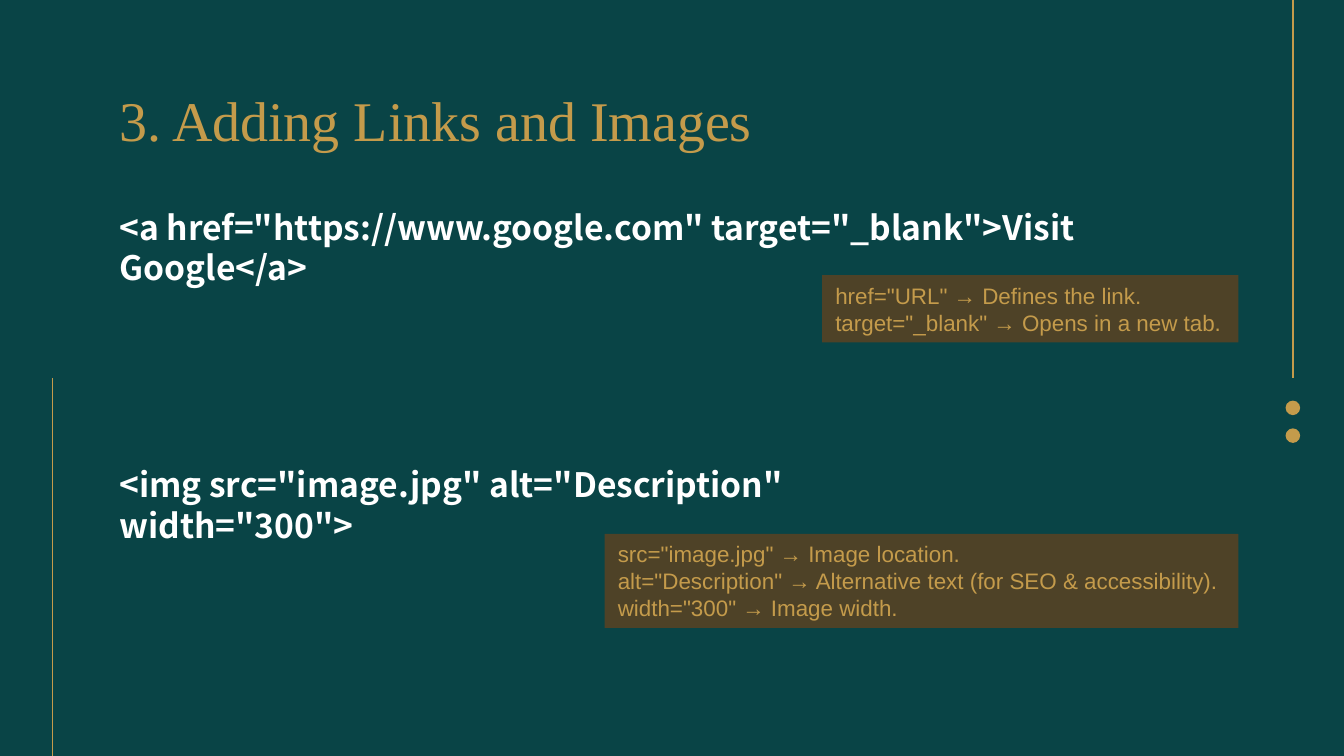
"""Build the "Adding Links and Images" slide."""
from lxml.etree import SubElement
from pptx import Presentation
from pptx.dml.color import RGBColor
from pptx.enum.shapes import MSO_CONNECTOR as Conn, MSO_SHAPE as Shape
from pptx.enum.text import MSO_ANCHOR as Anchor, PP_ALIGN as Align
from pptx.oxml.ns import qn
from pptx.util import Pt

COLORS = {"bg": "094446", "gold": "C49B4B", "brown": "4E4227", "white": "FFFFFF"}
TITLE = "3. Adding Links and Images"
EXAMPLES = [
    {
        "code": '<a href="https://www.google.com" target="_blank">Visit Google</a>',
        "code_top": 107.3, "code_width": 613.5,
        "notes": ['href="URL" → Defines the link.',
                  'target="_blank" → Opens in a new tab.'],
        "note_top": 147.5, "note_width": 223,
    },
    {
        "code": '<img src="image.jpg" alt="Description" width="300">',
        "code_top": 245.2, "code_width": 484.5,
        "notes": ['src="image.jpg" → Image location.',
                  'alt="Description" → Alternative text (for SEO & accessibility).',
                  'width="300" → Image width.'],
        "note_top": 286, "note_width": 339.5,
    },
]
WIDTH, HEIGHT = 720, 405
LEFT, RIGHT = 56.8, 663.4
RULES = [(28.1, HEIGHT / 2, HEIGHT), (692.6, 0, HEIGHT / 2)]
DOT_X, DOT_TOPS, DOT = 692.6, (214.6, 229.5), 7.8
NOTE_LINE, INSET = 14.4, 3.6


def color(name):
    return RGBColor.from_string(COLORS[name])


def write(sp, lines, font, size, ink, bold=False):
    tf = sp.text_frame
    tf.word_wrap = True
    tf.vertical_anchor = Anchor.TOP
    tf.text = "\n".join(lines)
    for p in tf.paragraphs:
        p.alignment = Align.LEFT
        for r in p.runs:
            r.font.name, r.font.size, r.font.bold = font, Pt(size), bold
            r.font.color.rgb = color(ink)
    return tf


def add_block(s, kind, x, y, w, h, fill):
    sp = s.shapes.add_shape(kind, Pt(x), Pt(y), Pt(w), Pt(h))
    sp.shadow.inherit = False
    sp.fill.solid()
    sp.fill.fore_color.rgb = color(fill)
    sp.line.fill.background()
    return sp


def add_text(s, y, w, h):
    return s.shapes.add_textbox(Pt(LEFT), Pt(y), Pt(w), Pt(h))


def main():
    prs = Presentation()
    prs.slide_width, prs.slide_height = Pt(WIDTH), Pt(HEIGHT)
    s = prs.slides.add_slide(prs.slide_layouts[6])
    s.background.fill.solid()
    s.background.fill.fore_color.rgb = color("bg")

    for x, top, bottom in RULES:
        line = s.shapes.add_connector(Conn.STRAIGHT, Pt(x), Pt(top), Pt(x), Pt(bottom))
        line.line.color.rgb = color("gold")
        line.line.width = Pt(0.75)
        SubElement(line._element.spPr, qn("a:effectLst"))
    for top in DOT_TOPS:
        add_block(s, Shape.OVAL, DOT_X - DOT / 2, top, DOT, DOT, "gold")

    tf = write(add_text(s, 35.4, RIGHT - LEFT, 45.4), [TITLE],
               "Times New Roman", 30, "gold")
    tf.margin_top, tf.margin_bottom = Pt(10.2), Pt(0)

    for ex in EXAMPLES:
        write(add_text(s, ex["code_top"], ex["code_width"], 29), [ex["code"]],
              "Noto Sans CJK SC", 18, "white", bold=True)
        w, h = ex["note_width"], NOTE_LINE * len(ex["notes"]) + 2 * INSET
        note = add_block(s, Shape.RECTANGLE, RIGHT - w, ex["note_top"], w, h, "brown")
        write(note, ex["notes"], "Arial", 12, "gold")

    prs.save("out.pptx")


if __name__ == "__main__":
    main()
